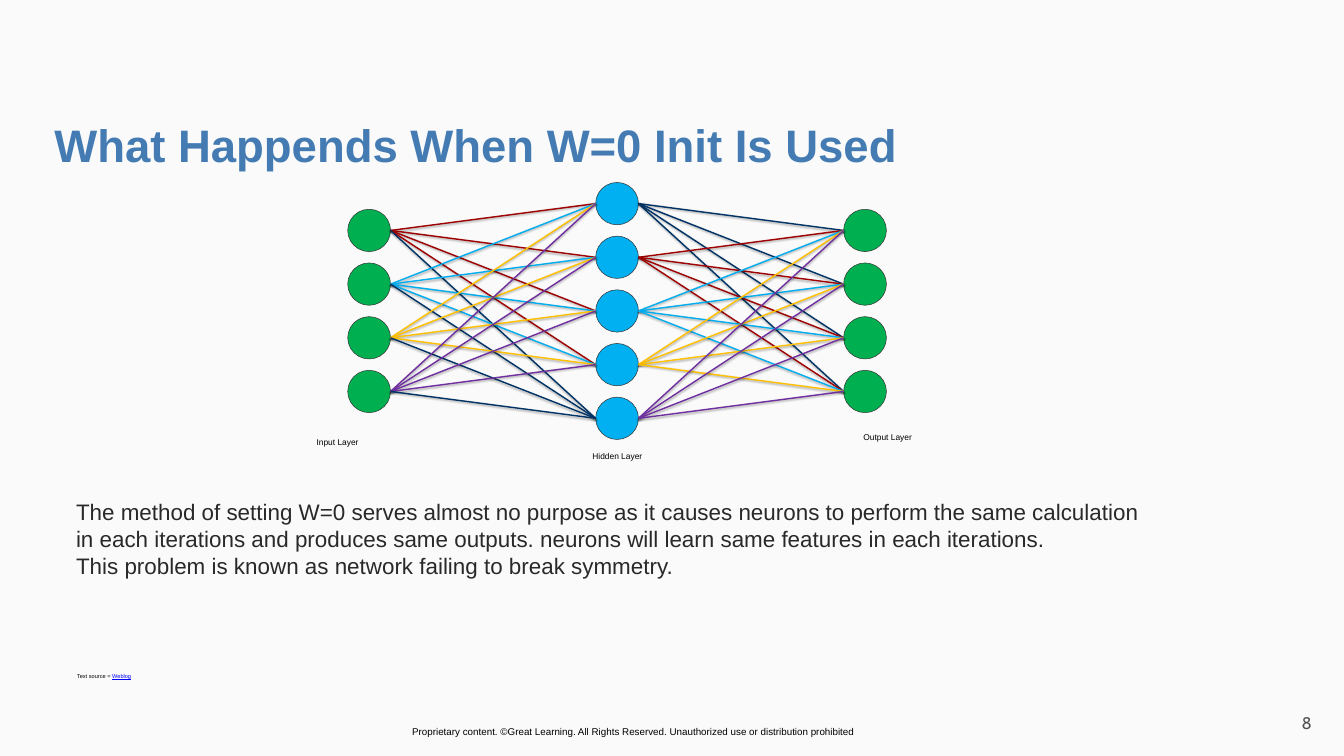
from itertools import product

from lxml import etree
from pptx import Presentation
from pptx.dml.color import RGBColor
from pptx.enum.shapes import MSO_CONNECTOR as Connector, MSO_SHAPE as Shape
from pptx.enum.text import MSO_ANCHOR as Anchor, PP_ALIGN as Align
from pptx.oxml.ns import qn
from pptx.util import Inches, Pt

SLIDE_W, SLIDE_H = 26.67, 15

BACKGROUND = RGBColor(0xFA, 0xFA, 0xFA)
BLACK = RGBColor(0, 0, 0)
TITLE_BLUE = RGBColor(0x43, 0x7B, 0xB2)
BODY_GREY = RGBColor(0x29, 0x29, 0x29)
PAGE_GREY = RGBColor(0x53, 0x53, 0x53)
LINK_BLUE = RGBColor(0, 0, 0xFF)
OUTLINE = RGBColor(0x33, 0x33, 0x33)
GREEN = RGBColor(0x00, 0xB0, 0x50)
SKY = RGBColor(0x00, 0xB0, 0xF0)
NAVY = RGBColor(0x00, 0x33, 0x66)
RED = RGBColor(0x9F, 0x00, 0x02)
CYAN = RGBColor(0x00, 0xAD, 0xEF)
YELLOW = RGBColor(0xFF, 0xC0, 0x00)
PURPLE = RGBColor(0x70, 0x30, 0xA0)

# Network grid
NODE_W, NODE_H = 0.85, 0.84
MOST_NODES = 5
LAYERS = [(4, GREEN), (MOST_NODES, SKY), (4, GREEN)]
INPUT_COLORS = [RED, CYAN, YELLOW, PURPLE]
HIDDEN_COLORS = [NAVY, RED, CYAN, YELLOW, PURPLE]


def add_text(shapes, box, paragraphs, size, color, font="Arial", bold=False,
             align=Align.LEFT, anchor=Anchor.TOP, inset=(0, 0), spacing=None):
    """Add a text box; each paragraph is a list of runs, inset is (x, y) inches."""
    text_box = shapes.add_textbox(*map(Inches, box))
    frame = text_box.text_frame
    frame.word_wrap = True
    frame.vertical_anchor = anchor
    frame.margin_left = frame.margin_right = Inches(inset[0])
    frame.margin_top = frame.margin_bottom = Inches(inset[1])
    for index, runs in enumerate(paragraphs):
        paragraph = frame.add_paragraph() if index else frame.paragraphs[0]
        paragraph.alignment = align
        paragraph.line_spacing = spacing
        for text in runs:
            run = paragraph.add_run()
            run.text = text
            run.font.name, run.font.size, run.font.bold = font, Pt(size), bold
            run.font.color.rgb = color
    return frame


def add_soft_shadow(connector):
    effects = etree.SubElement(connector._element.spPr, qn("a:effectLst"))
    shadow = etree.SubElement(effects, qn("a:outerShdw"), blurRad=str(Pt(3.1)),
                              dist=str(Pt(1.6)), dir="5400000", rotWithShape="0")
    black = etree.SubElement(shadow, qn("a:srgbClr"), val="000000")
    etree.SubElement(black, qn("a:alpha"), val="36000")


def add_link(shapes, start, end, color):
    link = shapes.add_connector(Connector.STRAIGHT, *map(Inches, (*start, *end)))
    link.line.color.rgb = color
    link.line.width = Pt(2)
    add_soft_shadow(link)


def add_node(shapes, left, middle, color):
    node = shapes.add_shape(Shape.OVAL, *map(Inches, (
        left, middle - NODE_H / 2, NODE_W, NODE_H)))
    node.shadow.inherit = False
    node.fill.solid()
    node.fill.fore_color.rgb = color
    node.line.color.rgb = OUTLINE
    node.line.width = Pt(0.75)


def link_color(layer, source, target):
    if layer == 1:
        return HIDDEN_COLORS[source]
    return NAVY if target == MOST_NODES - 1 else INPUT_COLORS[source]


def draw_network(slide, box):
    """Draw fully linked layers, each centred vertically in the box."""
    left, top, width, height = box
    shapes = slide.shapes.add_group_shape().shapes
    column = (width - NODE_W) / (len(LAYERS) - 1)
    row = (height - NODE_H) / (MOST_NODES - 1)
    lefts = [left + column * i for i in range(len(LAYERS))]
    middles = [[top + height / 2 + row * (i - (count - 1) / 2)
                for i in range(count)] for count, _ in LAYERS]

    for x, layer_middles, (_, color) in zip(lefts, middles, LAYERS):
        for y in layer_middles:
            add_node(shapes, x, y, color)

    for layer in range(len(LAYERS) - 1):
        pairs = product(enumerate(middles[layer]), enumerate(middles[layer + 1]))
        for (source, y1), (target, y2) in pairs:
            add_link(shapes, (lefts[layer] + NODE_W, y1), (lefts[layer + 1], y2),
                     link_color(layer, source, target))

    bottom = top + height
    captions = [("Input Layer", -1.28, -0.06, 2.16),
                ("Hidden Layer", 4.04, 0.21, 2.62),
                ("Output Layer", 9.18, -0.16, 3.07)]
    for caption, dx, dy, caption_w in captions:
        add_text(shapes, (left + dx, bottom + dy, caption_w, 0.43), [[caption]],
                 12, BLACK, align=Align.CENTER, spacing=1.08)


def draw_title(slide, box):
    add_text(slide.shapes, box, [["What Happends When W=0 Init Is Used"]], 65,
             TITLE_BLUE, bold=True, anchor=Anchor.MIDDLE, inset=(0.06, 0.06))


def draw_explanation(slide, box):
    add_text(slide.shapes, box, [
        ["The method of setting W=0 serves almost no purpose as it causes neurons "
         "to perform the same calculation in each iterations and produces same "
         "outputs. neurons will learn same features in each iterations."],
        ["This problem is known as network failing to break symmetry."],
    ], 32, BODY_GREY, inset=(0.1, 0.05))


def draw_source(slide, box):
    frame = add_text(slide.shapes, box, [["Text source = ", "Weblog"]], 8, BLACK,
                     inset=(0.1, 0.05))
    citation = frame.paragraphs[0].runs[1].font
    citation.color.rgb = LINK_BLUE
    citation.underline = True


def draw_footer(slide, box):
    left, top, width, height = box
    add_text(slide.shapes, (left, top + 0.21, 9.13, 0.44),
             [["Proprietary content. ©Great Learning. All Rights Reserved. "
               "Unauthorized use or distribution prohibited"]],
             14, BLACK, inset=(0.1, 0.1))
    add_text(slide.shapes, (left + width - 0.46, top, 0.46, height), [["8"]], 24,
             PAGE_GREY, font="Cabin", align=Align.CENTER, anchor=Anchor.BOTTOM,
             inset=(0.06, 0.06))


def main():
    deck = Presentation()
    deck.slide_width, deck.slide_height = Inches(SLIDE_W), Inches(SLIDE_H)
    slide = deck.slides.add_slide(deck.slide_layouts[6])
    slide.background.fill.solid()
    slide.background.fill.fore_color.rgb = BACKGROUND

    draw_footer(slide, (8.08, 14.09, 18.08, 0.52))
    draw_title(slide, (1.02, 2.26, 24.24, 1.21))
    draw_network(slide, (6.9, 3.62, 10.69, 5.1))
    draw_explanation(slide, (1.41, 9.83, 21.68, 1.72))
    draw_source(slide, (1.43, 13.31, 2.9, 0.51))
    deck.save("out.pptx")


if __name__ == "__main__":
    main()
